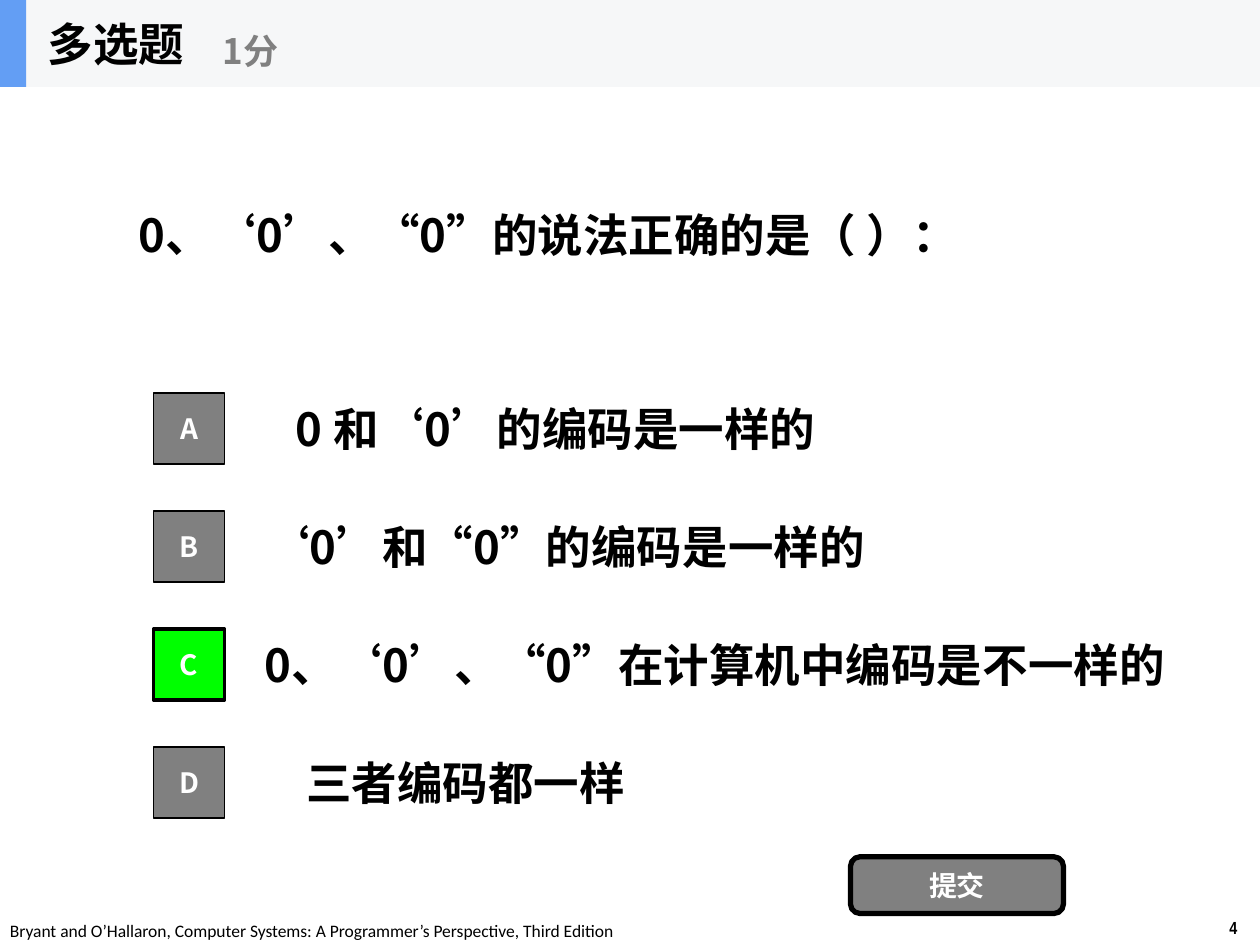
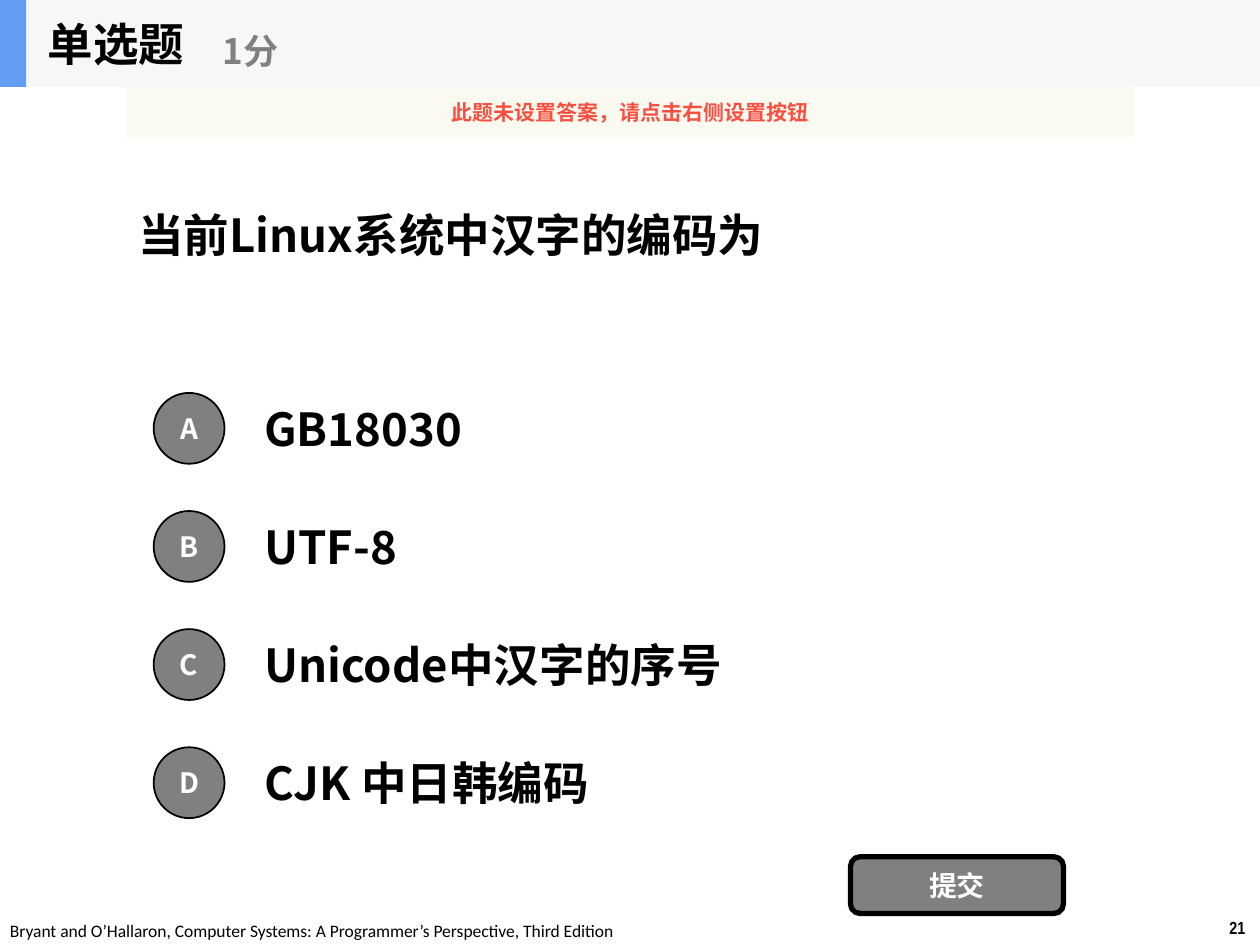
from lxml import etree
from pptx import Presentation
from pptx.dml.color import RGBColor
from pptx.enum.shapes import MSO_SHAPE
from pptx.enum.text import MSO_ANCHOR, MSO_AUTO_SIZE, PP_ALIGN
from pptx.oxml.ns import qn
from pptx.util import Pt

SQUARE, CIRCLE, ROUNDED = MSO_SHAPE.RECTANGLE, MSO_SHAPE.OVAL, MSO_SHAPE.ROUNDED_RECTANGLE
TOP, MIDDLE = MSO_ANCHOR.TOP, MSO_ANCHOR.MIDDLE
LEFT, CENTER = PP_ALIGN.LEFT, PP_ALIGN.CENTER
NO_AUTOFIT = MSO_AUTO_SIZE.NONE

BLACK = RGBColor(0x00, 0x00, 0x00)
WHITE = RGBColor(0xFF, 0xFF, 0xFF)
GRAY = RGBColor(0x80, 0x80, 0x80)
GREEN = RGBColor(0x00, 0xFF, 0x00)
BAND = RGBColor(0xF6, 0xF7, 0xF8)
ACCENT = RGBColor(0x63, 0x9E, 0xF4)
CREAM = RGBColor(0xFB, 0xFA, 0xEF)
RED = RGBColor(0xF8, 0x4F, 0x41)

QUIZ_FONT = "Noto Sans CJK SC"
TITLE_ONLY = 5
FOOTER = "Bryant and O’Hallaron, Computer Systems: A Programmer’s Perspective, Third Edition"
BAND_HEIGHT = 49.7
OPTION_LEFT, OPTION_TOP, OPTION_PITCH = 144, 219.5, 67.5
MARKER_SIZE = 40.5


def write(shape, text, size, color=BLACK, font=QUIZ_FONT, bold=True,
          align=LEFT, anchor=MIDDLE, wrap=False):
    """Put one formatted line of text into a shape."""
    frame = shape.text_frame
    frame.auto_size = NO_AUTOFIT
    frame.word_wrap = wrap
    frame.vertical_anchor = anchor
    frame.text = text
    paragraph = frame.paragraphs[0]
    paragraph.alignment = align
    run = paragraph.runs[0]
    run.font.size = Pt(size)
    run.font.bold = bold
    run.font.name = font
    run.font.color.rgb = color
    if font == QUIZ_FONT:
        properties = run.font._element
        properties.set("lang", "zh-CN")
        east_asian = etree.SubElement(properties, qn("a:ea"))
        east_asian.set("typeface", font)


def add_text(slide, text, left, top, width, height, size, **style):
    box = slide.shapes.add_textbox(Pt(left), Pt(top), Pt(width), Pt(height))
    write(box, text, size, **style)


def add_filled(slide, kind, left, top, width, height, fill, line_width=0):
    shape = slide.shapes.add_shape(kind, Pt(left), Pt(top), Pt(width), Pt(height))
    shape.shadow.inherit = False
    shape.fill.solid()
    shape.fill.fore_color.rgb = fill
    if line_width:
        shape.line.color.rgb = BLACK
        shape.line.width = Pt(line_width)
    else:
        shape.line.fill.background()
    return shape


def add_header(slide, title_text, points):
    title = slide.shapes.title
    # The band and its accent lie behind the title
    for width, fill in ((720, BAND), (15, ACCENT)):
        strip = add_filled(slide, SQUARE, 0, 0, width, BAND_HEIGHT, fill)
        title.element.addprevious(strip.element)
    title.left, title.top = Pt(20), Pt(0)
    title.width, title.height = Pt(150), Pt(BAND_HEIGHT)
    write(title, title_text, 26)
    add_text(slide, points, 120.2, 8.6, 180, 40.3, 20, color=GRAY)


def add_footer(slide, number):
    add_text(slide, FOOTER, -1.4, 522, 366, 19.4, 10, font="Calibri", bold=False, anchor=TOP)
    add_text(slide, number, 695.5, 520.6, 24.5, 19.4, 10, font="Arial Narrow", anchor=TOP)


def add_option(slide, index, text, marker, correct=False, indent=0):
    top = OPTION_TOP + index * OPTION_PITCH
    add_text(slide, text, OPTION_LEFT + indent, top, 504, 50.4, 26)
    fill, line_width = (GREEN, 2) if correct else (GRAY, 1)
    badge = add_filled(slide, marker, 87.8, top + 5, MARKER_SIZE, MARKER_SIZE, fill, line_width)
    write(badge, "ABCD"[index], 16, color=WHITE, align=CENTER, wrap=True)


def add_submit_button(slide):
    button = add_filled(slide, ROUNDED, 486, 489.6, 121.7, 32.4, GRAY, 3)
    write(button, "提交", 16, color=WHITE, align=CENTER, wrap=True)


def add_notice(slide, text):
    notice = add_filled(slide, SQUARE, 72, BAND_HEIGHT, 576, 28.8, CREAM)
    color = notice.fill._xPr.find(".//" + qn("a:srgbClr"))
    etree.SubElement(color, qn("a:alpha")).set("val", "90000")
    write(notice, text, 12, color=RED, align=CENTER)


def add_quiz(presentation, title, question, options, marker, number, correct=(), indents=None):
    slide = presentation.slides.add_slide(presentation.slide_layouts[TITLE_ONLY])
    add_header(slide, title, "1分")
    add_text(slide, question, 72, BAND_HEIGHT, 576, 168.5, 26, wrap=True)
    for index, text in enumerate(options):
        add_option(slide, index, text, marker, index in correct, (indents or {}).get(index, 0))
    add_submit_button(slide)
    add_footer(slide, number)
    return slide


def main():
    presentation = Presentation()
    presentation.slide_width, presentation.slide_height = Pt(720), Pt(540)

    # Multiple choice: zero as number, character and string
    add_quiz(presentation, "多选题", "0、‘0’、“0”的说法正确的是（ ）：",
             ["0 和‘0’的编码是一样的", "‘0’和“0”的编码是一样的",
              "0、‘0’、“0”在计算机中编码是不一样的", "三者编码都一样"],
             SQUARE, "4", correct={2}, indents={0: 18, 3: 24})

    # Single choice: encoding of Chinese characters
    encoding_slide = add_quiz(
        presentation, "单选题", "当前Linux系统中汉字的编码为",
        ["GB18030", "UTF-8", "Unicode中汉字的序号", "CJK 中日韩编码"], CIRCLE, "21")
    add_notice(encoding_slide, "此题未设置答案，请点击右侧设置按钮")

    presentation.save("out.pptx")


if __name__ == "__main__":
    main()
